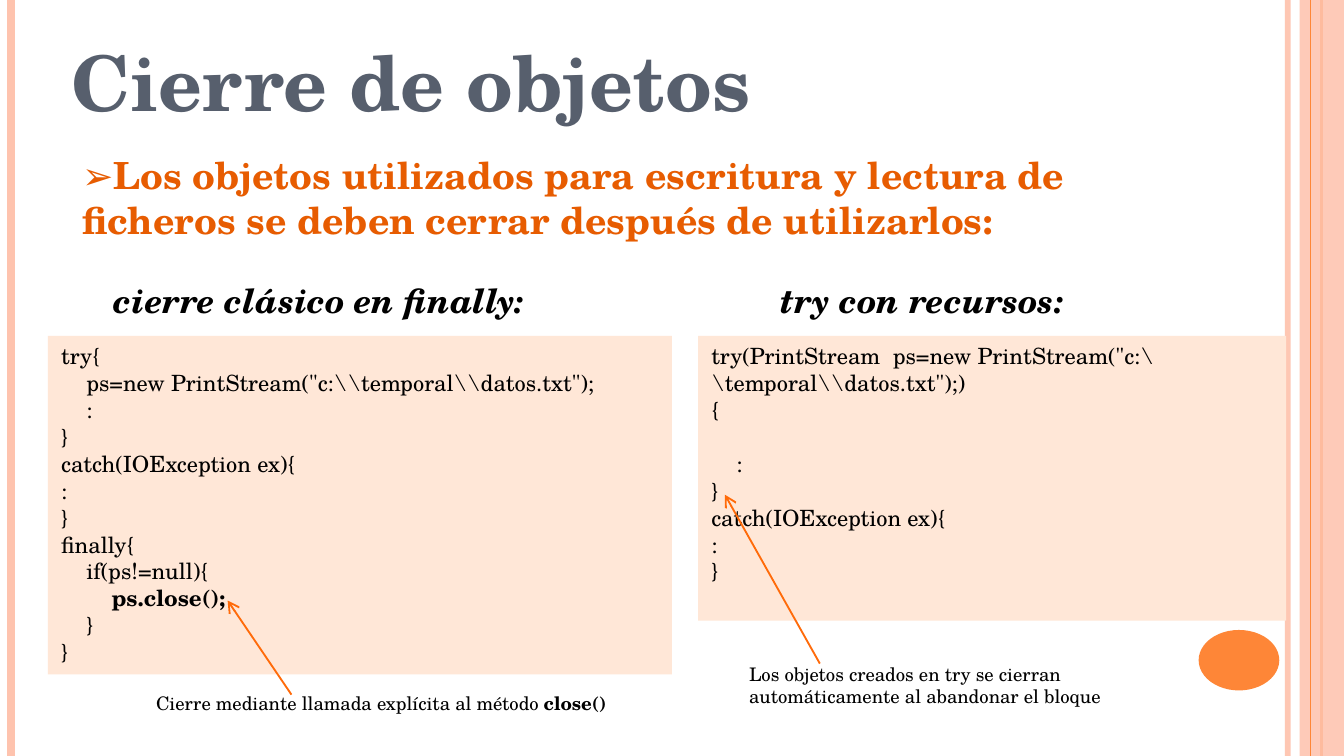
import pptx
import pptx.dml.color
import pptx.enum.shapes
import pptx.enum.text
import pptx.oxml.ns
import pptx.util
from lxml import etree

PX = 5715
WIDTH, HEIGHT = 1600, 900
INDENT = 30
FONT = "TeX Gyre Schola"
RGBColor = pptx.dml.color.RGBColor
BLACK = RGBColor(0x00, 0x00, 0x00)
SLATE = RGBColor(0x57, 0x5F, 0x6D)
RUST = RGBColor(0xE7, 0x5C, 0x01)
ORANGE = RGBColor(0xFE, 0x86, 0x37)
ARROW = RGBColor(0xFF, 0x6B, 0x0A)
PINK = RGBColor(0xFE, 0xC3, 0xAE)
PEACH = RGBColor(0xFF, 0xE7, 0xD7)
SHAPE = pptx.enum.shapes.MSO_SHAPE
qn = pptx.oxml.ns.qn

deck = pptx.Presentation()
deck.slide_width = WIDTH * PX
deck.slide_height = HEIGHT * PX
slide = deck.slides.add_slide(deck.slide_layouts[6])


def draw_line(start, end, color, weight):
    line = slide.shapes.add_connector(
        pptx.enum.shapes.MSO_CONNECTOR.STRAIGHT, *[v * PX for v in start + end])
    line.line.color.rgb = color
    line.line.width = pptx.util.Pt(weight)
    etree.SubElement(line._element.spPr, qn("a:effectLst"))
    return line


def write(frame, paragraphs, size, color=BLACK, italic=False):
    frame.word_wrap = True
    frame.vertical_anchor = pptx.enum.text.MSO_ANCHOR.TOP
    for index, runs in enumerate(paragraphs):
        paragraph = frame.paragraphs[0] if index == 0 else frame.add_paragraph()
        paragraph.alignment = pptx.enum.text.PP_ALIGN.LEFT
        for text, bold in runs:
            run = paragraph.add_run()
            run.text = text
            run.font.name = FONT
            run.font.size = pptx.util.Pt(size)
            run.font.color.rgb = color
            run.font.bold = bold
            run.font.italic = italic


right_edge = draw_line((1533, 0), (1533, HEIGHT), PINK, 3)
draw_line((13, 0), (13, HEIGHT), PINK, 4.5)
draw_line((1573, 0), (1573, HEIGHT), ORANGE, 1.5)
band = slide.shapes.add_shape(SHAPE.RECTANGLE, 1547 * PX, 0, 53 * PX, HEIGHT * PX)
band.fill.solid()
band.fill.fore_color.rgb = PINK
draw_line((1560, 0), (1560, HEIGHT), ORANGE, 0.75)
disc = slide.shapes.add_shape(SHAPE.OVAL, 1427 * PX, 750 * PX, 96 * PX, 72 * PX)
disc.fill.solid()
disc.fill.fore_color.rgb = ORANGE
for ornament in (band, disc):
    ornament.line.fill.background()
    ornament.shadow.inherit = False
for translucent, opacity in ((right_edge, 93), (band, 87)):
    tint = translucent._element.spPr.find(".//" + qn("a:srgbClr"))
    etree.SubElement(tint, qn("a:alpha"), val=str(opacity * 1000))

classic_code = [
    (0, "try{"),
    (1, 'ps=new PrintStream("c:\\\\temporal\\\\datos.txt");'),
    (1, ":"),
    (0, "}"),
    (0, "catch(IOException ex){"),
    (0, ":"),
    (0, "}"),
    (0, "finally{"),
    (1, "if(ps!=null){"),
    (2, "ps.close();"),
    (1, "}"),
    (0, "}"),
]
resources_code = [
    (0, 'try(PrintStream  ps=new PrintStream("c:\\\\temporal\\\\datos.txt");)'),
    (0, "{"),
    (1, ":"),
    (0, "}"),
    (0, "catch(IOException ex){"),
    (0, ":"),
    (0, "}"),
]
listings = []
for left, width, height, code in ((57, 743, 403, classic_code),
                                  (831, 700, 339, resources_code)):
    listing = slide.shapes.add_shape(
        SHAPE.RECTANGLE, left * PX, 400 * PX, width * PX, height * PX)
    listing.fill.solid()
    listing.fill.fore_color.rgb = PEACH
    listing.line.fill.background()
    listing.shadow.inherit = False
    write(listing.text_frame,
          [[(text, text == "ps.close();")] for level, text in code], 12)
    for paragraph, (level, text) in zip(listing.text_frame.paragraphs, code):
        paragraph._p.get_or_add_pPr().set("marL", str(level * INDENT * PX))
    listings.append(listing)
listings[1].text_frame.paragraphs[2].space_before = pptx.util.Pt(14.4)

texts = [
    ((69, 34, 1424, 142), [("Cierre de objetos", True)], 41, SLATE, False),
    ((82, 173, 1342, 237),
     [("Los objetos utilizados para escritura y lectura de ficheros "
       "se deben cerrar después de utilizarlos:", True)], 20, RUST, False),
    ((120, 325, 530, 64), [("cierre clásico en finally:", True)], 18, BLACK, True),
    ((914, 325, 530, 64), [("try con recursos:", True)], 18, BLACK, True),
    ((876, 781, 504, 70),
     [("Los objetos creados en try se cierran automáticamente "
       "al abandonar el bloque", False)], 10, BLACK, False),
    ((170, 816, 618, 43),
     [("Cierre mediante llamada explícita al método ", False),
      ("close()", True)], 10, BLACK, False),
]
for place, runs, size, color, italic in texts:
    box = slide.shapes.add_textbox(*[v * PX for v in place])
    write(box.text_frame, [runs], size, color, italic)
    if color == RUST:
        statement = box.text_frame.paragraphs[0]
        statement.space_before = pptx.util.Pt(6)
        statement.space_after = pptx.util.Pt(12)
        properties = statement._p.get_or_add_pPr()
        properties.set("marL", "0")
        properties.set("indent", "0")
        etree.SubElement(properties, qn("a:buFont"), typeface=FONT)
        etree.SubElement(properties, qn("a:buChar"), char="➢")

for start, end in (((976, 790), (863, 589)), ((347, 827), (271, 715))):
    pointer = draw_line(start, end, ARROW, 1)
    etree.SubElement(pointer.line._get_or_add_ln(), qn("a:tailEnd"), type="arrow")

deck.save("out.pptx")
